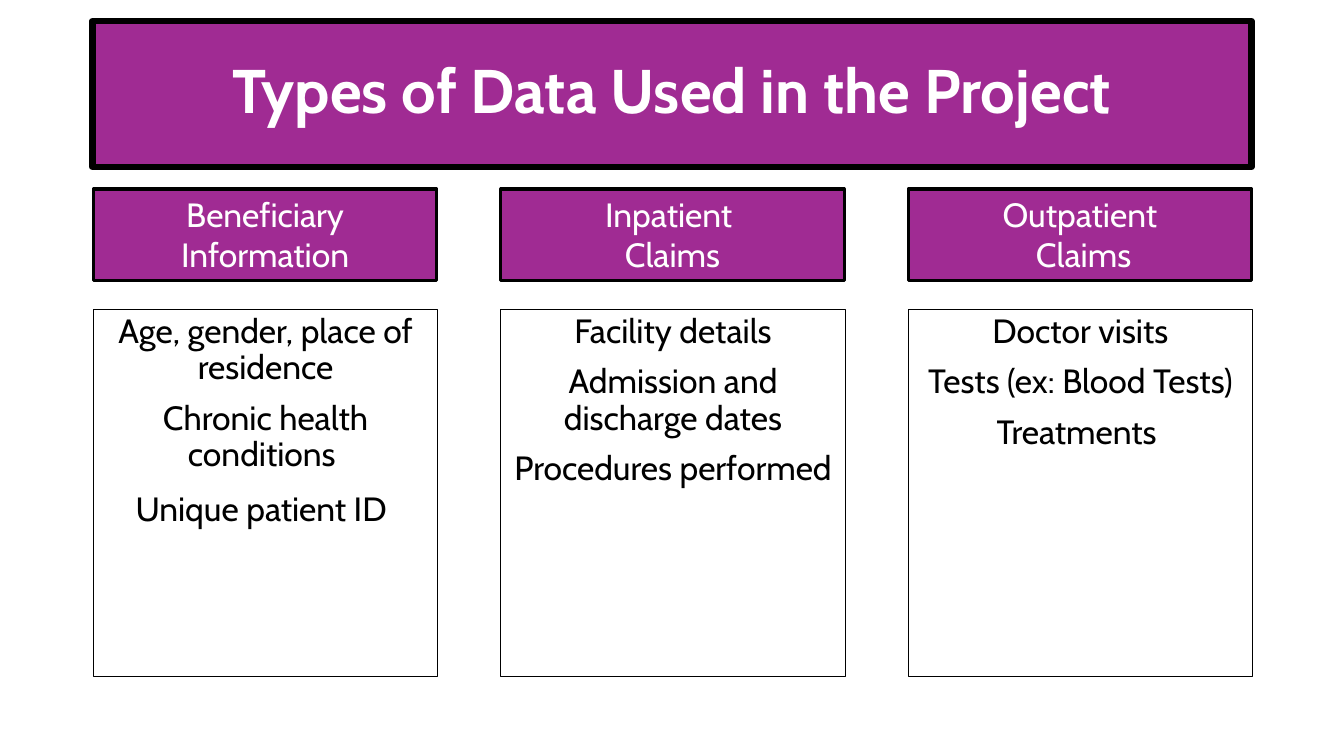
"""Build the slide on the types of data used in the project."""
from dataclasses import dataclass

import pptx
import pptx.dml.color
import pptx.enum.shapes
import pptx.enum.text
import pptx.shapes.autoshape
import pptx.slide
import pptx.util

PX = 9525
MIDDLE = pptx.enum.text.MSO_ANCHOR.MIDDLE
TOP = pptx.enum.text.MSO_ANCHOR.TOP
FIXED = pptx.enum.text.MSO_AUTO_SIZE.NONE
GROW = pptx.enum.text.MSO_AUTO_SIZE.SHAPE_TO_FIT_TEXT


@dataclass(frozen=True)
class Theme:
    """Colours, font and type sizes."""
    font: str = "Cabin"
    purple: str = "A02B93"
    black: str = "000000"
    white: str = "FFFFFF"
    title_size: int = 44
    text_size: int = 24
    tail_size: int = 28


@dataclass(frozen=True)
class Box:
    """Place of a box in px."""
    left: int
    top: int
    width: int
    height: int


@dataclass(frozen=True)
class Style:
    """Look of a box and its text."""
    fill: str | None
    line_width: float
    color: str
    size: int
    bold: bool = False
    anchor: pptx.enum.text.MSO_ANCHOR = MIDDLE
    auto_size: pptx.enum.text.MSO_AUTO_SIZE = FIXED
    line_spacing: float = 1.0
    space_before: int = 0


@dataclass(frozen=True)
class DataType:
    """A column: its heading and the data it holds."""
    heading: tuple[str, ...]
    items: tuple[str, ...]
    tail: str = ""


THEME = Theme()
TITLE = Style(THEME.purple, 4.5, THEME.white, THEME.title_size, bold=True, line_spacing=0.9)
HEADING = Style(THEME.purple, 2.25, THEME.white, THEME.text_size, auto_size=GROW, anchor=TOP)
BODY = Style(None, 0.75, THEME.black, THEME.text_size, anchor=TOP, line_spacing=0.9, space_before=10)

TITLE_BOX = Box(88, 20, 1104, 139)
COLUMN_LEFT, COLUMN_STEP = 89, 388
COLUMNS = (
    DataType(("Beneficiary", "Information"),
             ("Age, gender, place of residence", "Chronic health conditions ", "Unique patient ID"),
             tail=" "),
    DataType(("Inpatient ", "Claims"),
             ("Facility details", "Admission and discharge dates", "Procedures performed")),
    DataType(("Outpatient", " Claims"),
             ("Doctor visits", "Tests (ex: Blood Tests)", "Treatments ")),
)


def rgb(color: str) -> pptx.dml.color.RGBColor:
    """Turn a hex string into a colour."""
    return pptx.dml.color.RGBColor.from_string(color)


def set_all(target: object, values: dict[str, object]) -> None:
    """Set every attribute named in values."""
    for name, value in values.items():
        setattr(target, name, value)


def add_run(p: object, text: str, style: Style, size: int) -> None:
    """Add a formatted run to a paragraph."""
    r = p.add_run()
    r.text = text
    set_all(r.font, {"name": THEME.font, "size": pptx.util.Pt(size), "bold": style.bold})
    r.font.color.rgb = rgb(style.color)


def format_box(sp: object, box: Box, style: Style, lines: tuple[str, ...], tail: str = "") -> None:
    """Place, paint and fill a shape with paragraphs."""
    set_all(sp, {"left": box.left * PX, "top": box.top * PX,
                 "width": box.width * PX, "height": box.height * PX})
    if style.fill:
        sp.fill.solid()
        sp.fill.fore_color.rgb = rgb(style.fill)
    else:
        sp.fill.background()
    sp.line.color.rgb = rgb(THEME.black)
    sp.line.width = pptx.util.Pt(style.line_width)
    tf = sp.text_frame
    set_all(tf, {"word_wrap": True, "auto_size": style.auto_size, "vertical_anchor": style.anchor})
    for i, line in enumerate(lines):
        p = tf.add_paragraph() if i else tf.paragraphs[0]
        set_all(p, {"alignment": pptx.enum.text.PP_ALIGN.CENTER,
                    "line_spacing": style.line_spacing,
                    "space_before": pptx.util.Pt(style.space_before)})
        add_run(p, line, style, style.size)
    if tail:
        add_run(p, tail, style, THEME.tail_size)


def add_box(s: pptx.slide.Slide) -> pptx.shapes.autoshape.Shape:
    """Add a rectangle without a shadow."""
    sp = s.shapes.add_shape(pptx.enum.shapes.MSO_SHAPE.RECTANGLE, 0, 0, PX, PX)
    sp.shadow.inherit = False
    return sp


def main() -> None:
    """Build and save the slide."""
    prs = pptx.Presentation()
    set_all(prs, {"slide_width": 1280 * PX, "slide_height": 720 * PX})
    s = prs.slides.add_slide(prs.slide_layouts.get_by_name("Title Only"))
    format_box(s.shapes.title, TITLE_BOX, TITLE, ("Types of Data Used in the Project",))
    for i, column in enumerate(COLUMNS):
        left = COLUMN_LEFT + i * COLUMN_STEP
        format_box(add_box(s), Box(left, 180, 327, 87), HEADING, column.heading)
        format_box(add_box(s), Box(left, 295, 328, 349), BODY, column.items, column.tail)
    prs.save("out.pptx")


if __name__ == "__main__":
    main()
